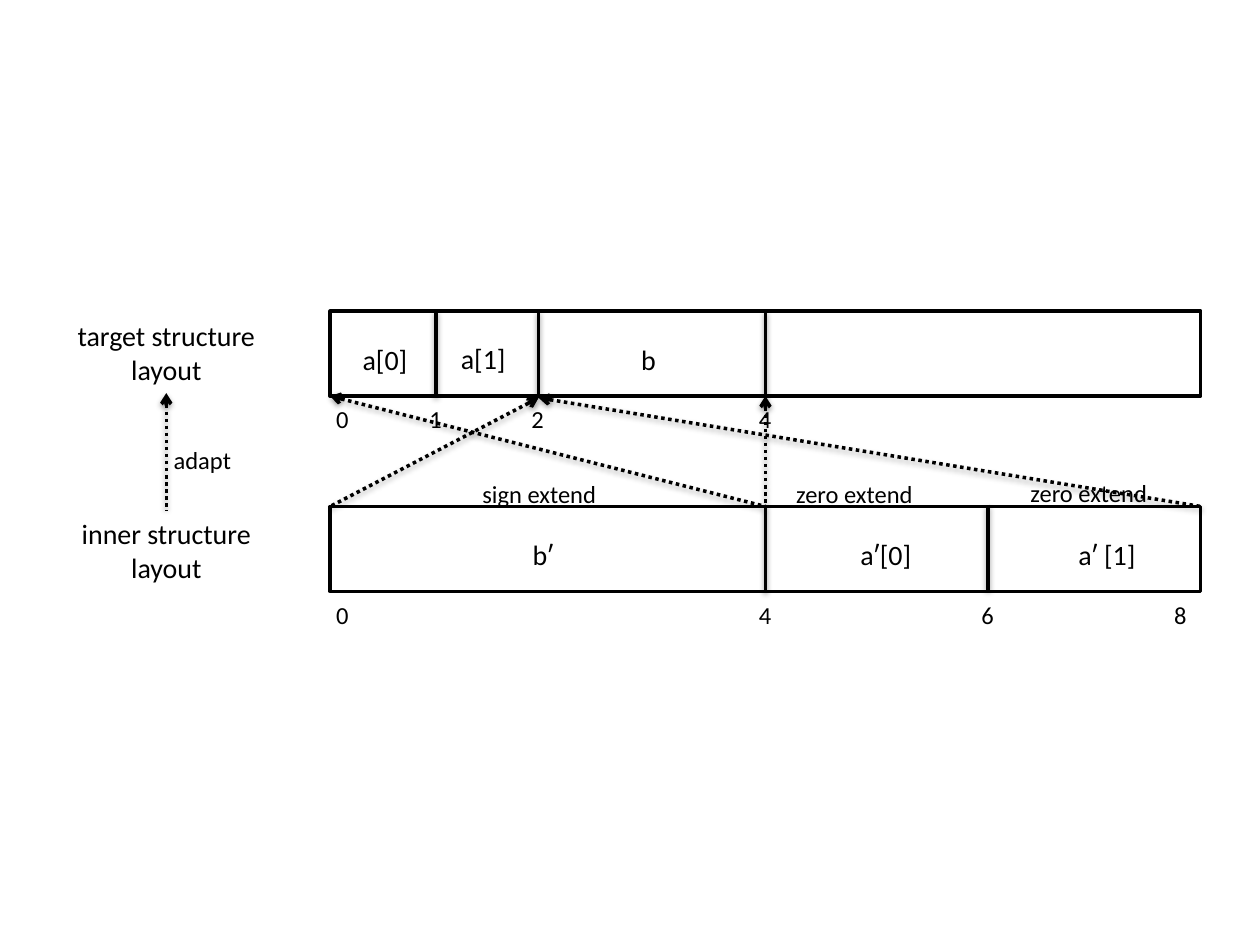
from lxml import etree
from pptx import Presentation
from pptx.dml.color import RGBColor
from pptx.enum.dml import MSO_LINE
from pptx.enum.shapes import MSO_CONNECTOR, MSO_SHAPE
from pptx.enum.text import MSO_AUTO_SIZE, PP_ALIGN
from pptx.oxml import parse_xml
from pptx.oxml.ns import nsdecls, qn
from pptx.util import Pt

BLACK = RGBColor(0, 0, 0)
WHITE = RGBColor(255, 255, 255)
DOT = MSO_LINE.ROUND_DOT
LINE = MSO_CONNECTOR.STRAIGHT
RECT = MSO_SHAPE.RECTANGLE
GROW = MSO_AUTO_SIZE.SHAPE_TO_FIT_TEXT
LEFT, MID = PP_ALIGN.LEFT, PP_ALIGN.CENTER
TOP, BOTTOM = 0, 2
SHADOW = (
    f'<a:effectLst {nsdecls("a")}>'
    '<a:outerShdw blurRad="40000" dist="20000" dir="5400000" rotWithShape="0">'
    '<a:srgbClr val="000000"><a:alpha val="38000"/></a:srgbClr>'
    '</a:outerShdw></a:effectLst>'
)

START, END = 188.64, 686.16
HALF = (START + END) / 2
HIGH, LOW = 177.84, 289.44
DEPTH = 48.5
BASE = HIGH + DEPTH
TWO = 307.8
SIX = 564.48


class Board:
    font = "Calibri"
    width = 2

    def __init__(self, slide):
        self.shapes = slide.shapes

    def bar(self, top):
        box = self.shapes.add_shape(
            RECT, Pt(START), Pt(top), Pt(END - START), Pt(DEPTH))
        box.shadow.inherit = False
        box.fill.solid()
        box.fill.fore_color.rgb = WHITE
        box.line.color.rgb = BLACK
        box.line.width = Pt(self.width)
        return box

    def line(self, x1, y1, x2, y2, head=None, tail=None):
        link = self.shapes.add_connector(LINE, Pt(x1), Pt(y1), Pt(x2), Pt(y2))
        if head:
            link.begin_connect(head, BOTTOM)
        if tail:
            link.end_connect(tail, TOP)
        link.line.color.rgb = BLACK
        link.line.width = Pt(self.width)
        link._element.spPr.append(parse_xml(SHADOW))
        return link

    def split(self, x, top):
        return self.line(x, top, x, top + DEPTH)

    def arrow(self, x1, y1, x2, y2, head=None, tail=None):
        link = self.line(x1, y1, x2, y2, head, tail)
        link.line.dash_style = DOT
        end = etree.SubElement(link.line._get_or_add_ln(), qn("a:headEnd"))
        end.set("type", "arrow")

    def text(self, words, x, y, w, h=26.64, size=16, align=LEFT):
        box = self.shapes.add_textbox(Pt(x), Pt(y), Pt(w), Pt(h))
        frame = box.text_frame
        frame.word_wrap = False
        frame.auto_size = GROW
        frame.text = words
        for par in frame.paragraphs:
            par.alignment = align
            for run in par.runs:
                run.font.name = self.font
                run.font.size = Pt(size)
                run.font.color.rgb = BLACK
        return box

    def note(self, words, x, y, w):
        self.text(words, x, y, w, 24.24, 14)

    def tick(self, words, mid, y):
        self.note(words, mid - 10.8, y, 21.6)


def main():
    deck = Presentation()
    deck.slide_width, deck.slide_height = Pt(720), Pt(540)
    board = Board(deck.slides.add_slide(deck.slide_layouts[6]))

    target, inner = board.bar(HIGH), board.bar(LOW)
    for bar, top in ((target, HIGH), (inner, LOW)):
        mark = board.split(HALF, top)
        mark.begin_connect(bar, TOP)
        mark.end_connect(bar, BOTTOM)
    for x, top in ((249.12, HIGH), (TWO, HIGH), (SIX, LOW - 1)):
        board.split(x, top)

    board.arrow(TWO, BASE + 1, START, LOW)
    board.arrow(START, BASE, HALF, LOW, tail=inner)
    board.arrow(TWO, BASE + 1, END, LOW)
    board.arrow(HALF, BASE, HALF, LOW, target, inner)

    for words, x, y, w in (
        ("a[0]", 200.16, 192.24, 40.32),
        ("a[1]", 256.32, 191.52, 40.32),
        ("b", 359.28, 192.24, 23.04),
        ("bʹ", 297.36, 303.84, 26.64),
        ("aʹ[0]", 484.56, 303.84, 43.92),
        ("aʹ [1]", 609.12, 303.84, 47.52),
    ):
        board.text(words, x, y, w)

    for words, mid in (("0", 195.84), ("1", 249.12), ("2", 307.44), ("4", HALF)):
        board.tick(words, mid, 227.52)
    for words, mid in (("0", 195.84), ("4", HALF), ("6", SIX), ("8", 674.64)):
        board.tick(words, mid, 339.6)

    board.note("sign extend", 268.56, 270, 80.64)
    board.note("zero extend", 447.84, 270, 82.8)
    board.note("zero extend", 581.76, 269.5, 82.8)

    upper = board.text("target structure\nlayout", 36, 178.56, 118.08, 46.08,
                       align=MID)
    lower = board.text("inner structure\nlayout", 38.52, 291.6, 113.04, 46.08,
                       align=MID)
    board.arrow(95.04, 224.64, 95.04, 291.6, upper, lower)
    board.note("adapt", 92.16, 250.56, 47.52)

    deck.save("out.pptx")


if __name__ == "__main__":
    main()
